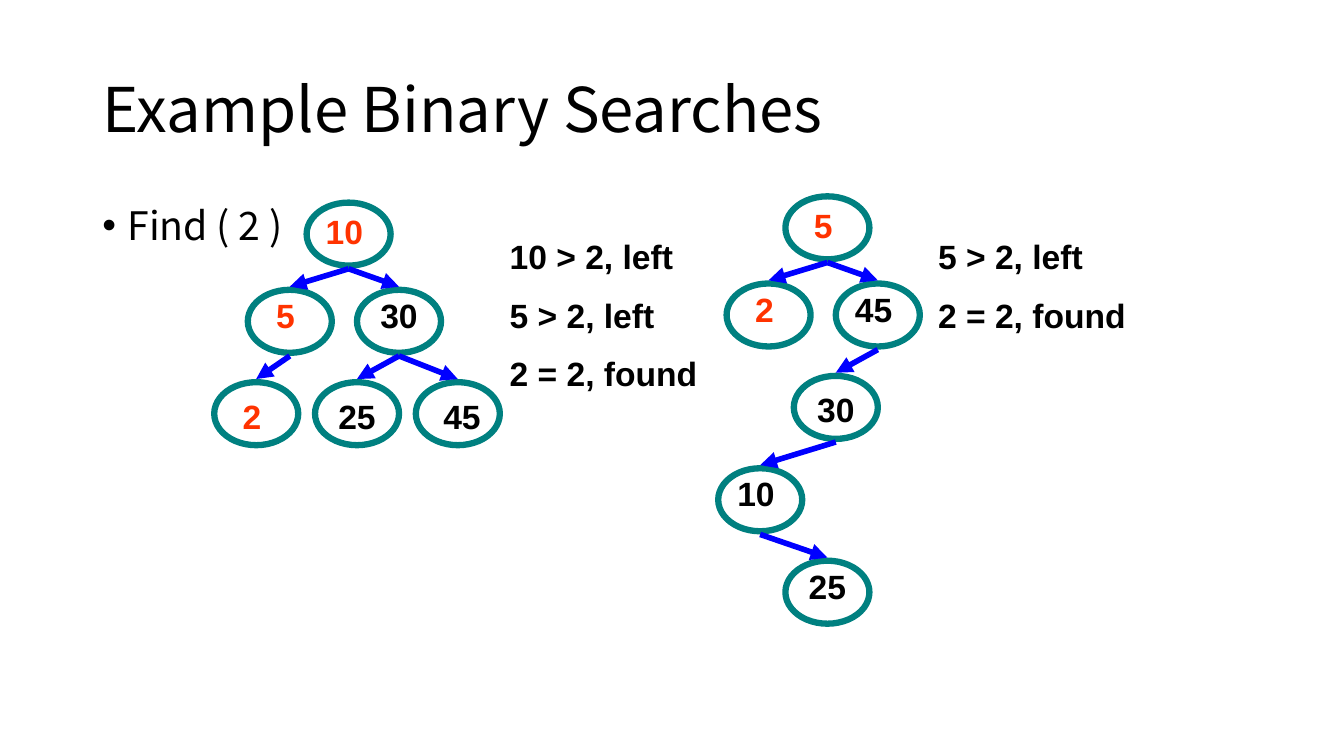
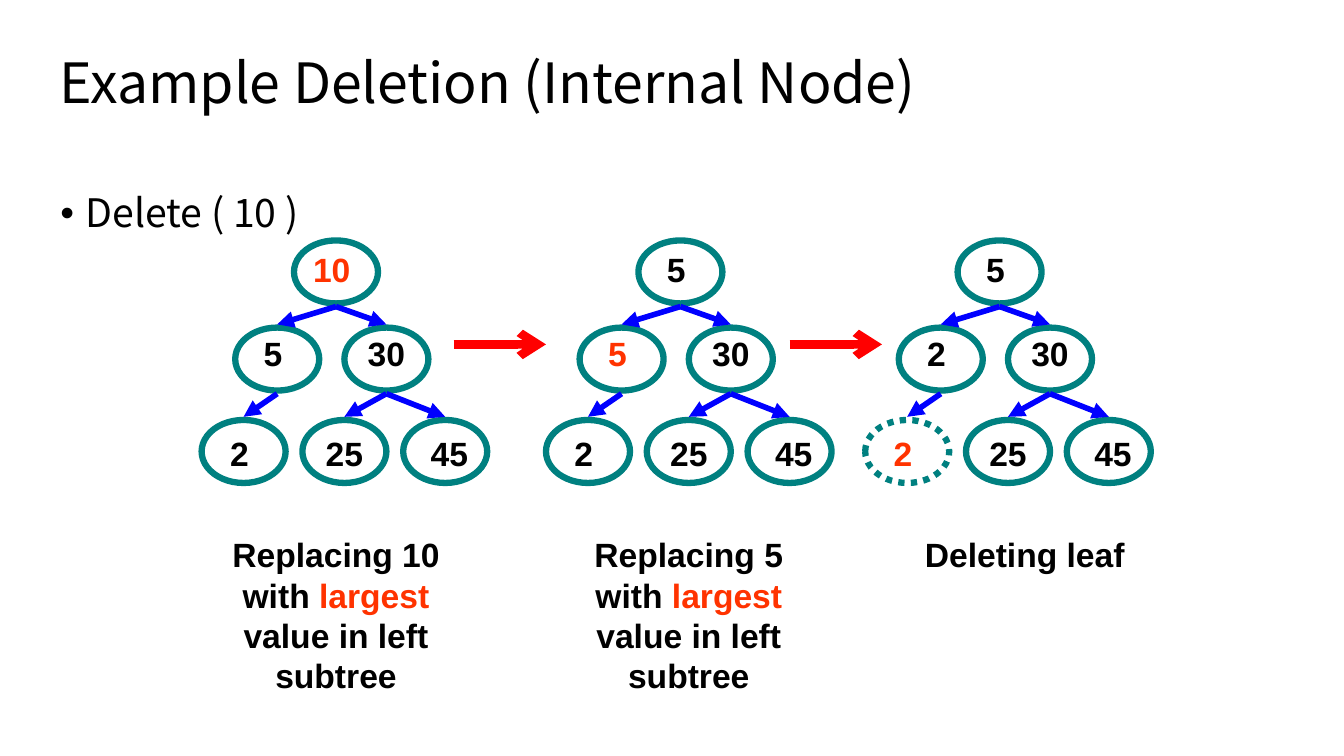
from typing import NamedTuple, Optional

from lxml.etree import SubElement
from pptx import Presentation
from pptx.dml.color import RGBColor
from pptx.enum.dml import MSO_LINE
from pptx.enum.shapes import MSO_CONNECTOR, MSO_SHAPE
from pptx.enum.text import MSO_ANCHOR, MSO_AUTO_SIZE, PP_ALIGN
from pptx.oxml.ns import qn
from pptx.util import Emu, Pt

PX = 9525
BLACK = RGBColor(0x00, 0x00, 0x00)
ORANGE = RGBColor(0xFF, 0x33, 0x00)
TEAL = RGBColor(0x00, 0x80, 0x80)
BLUE = RGBColor(0x00, 0x00, 0xFF)
RED = RGBColor(0xFF, 0x00, 0x00)

HEADING_FONT = "Noto Sans CJK KR"
LABEL_FONT = "Arial"
NODE_W, NODE_H = 80, 60
EDGE_GAP = 3
LABEL_H = 48


class Slot(NamedTuple):
    """Place of a node in a tree, its parent's index and its label's offset."""
    x: int
    y: int
    parent: Optional[int]
    label_x: int
    label_y: int
    label_w: int


BALANCED = [
    Slot(88, 0, None, 8, 3, 56),
    Slot(32, 83, 0, 16, 0, 40),
    Slot(136, 83, 0, 8, 0, 64),
    Slot(0, 171, 1, 16, 8, 40),
    Slot(96, 171, 2, 8, 8, 64),
    Slot(192, 171, 2, 16, 8, 56),
]
DEGENERATE = [
    Slot(88, 0, None, 16, 3, 40),
    Slot(32, 83, 0, 16, 0, 40),
    Slot(136, 83, 0, 8, 0, 56),
    Slot(96, 171, 2, 8, 8, 64),
    Slot(24, 259, 3, 8, 0, 56),
    Slot(88, 347, 4, 8, 0, 64),
]


def px(*lengths):
    return [Emu(length * PX) for length in lengths]


def format_run(run, font_name, size, color, bold=False):
    run.font.name = font_name
    run.font.size = Pt(size)
    run.font.bold = bold
    run.font.color.rgb = color


class Deck:
    def __init__(self):
        self.presentation = Presentation()
        self.presentation.slide_width, self.presentation.slide_height = px(1280, 720)
        self.slide = None

    def add_slide(self, title, x, y, w, h, size):
        layout = self.presentation.slide_layouts[5]
        self.slide = self.presentation.slides.add_slide(layout)
        heading = self.slide.shapes.title
        heading.left, heading.top, heading.width, heading.height = px(x, y, w, h)
        frame = heading.text_frame
        frame.text = title
        frame.word_wrap = True
        frame.auto_size = MSO_AUTO_SIZE.NONE
        frame.vertical_anchor = MSO_ANCHOR.MIDDLE
        paragraph = frame.paragraphs[0]
        paragraph.alignment = PP_ALIGN.LEFT
        paragraph.line_spacing = 0.9
        format_run(paragraph.runs[0], HEADING_FONT, size, BLACK)

    def bullet(self, text, x, y):
        frame = self.slide.shapes.add_textbox(*px(x, y, 1104, 457)).text_frame
        frame.word_wrap = True
        frame.text = text
        paragraph = frame.paragraphs[0]
        properties = paragraph._p.get_or_add_pPr()
        properties.set("marL", str(24 * PX))
        properties.set("indent", str(-24 * PX))
        SubElement(properties, qn("a:buFont"), typeface="Arial")
        SubElement(properties, qn("a:buChar"), char="•")
        paragraph.line_spacing = 0.9
        format_run(paragraph.runs[0], HEADING_FONT, 28, BLACK)

    def text(self, lines, x, y, w, h, color=BLACK, align=PP_ALIGN.CENTER, highlight=None):
        """Bold lines of text; the highlighted word is orange."""
        frame = self.slide.shapes.add_textbox(*px(x, y, w, h)).text_frame
        frame.word_wrap = True
        frame.auto_size = MSO_AUTO_SIZE.SHAPE_TO_FIT_TEXT
        for index, line in enumerate(lines):
            paragraph = frame.add_paragraph() if index else frame.paragraphs[0]
            paragraph.alignment = align
            if index:
                paragraph.space_before = Pt(13)
            for part in line.partition(highlight) if highlight else [line]:
                run = paragraph.add_run()
                run.text = part
                run_color = ORANGE if part == highlight else color
                format_run(run, LABEL_FONT, 24, run_color, bold=True)

    def arrow(self, x1, y1, x2, y2, color=BLUE, width=4, head="triangle"):
        connector = self.slide.shapes.add_connector(
            MSO_CONNECTOR.STRAIGHT, *px(x1, y1, x2, y2))
        connector.line.color.rgb = color
        connector.line.width = Pt(width)
        SubElement(connector.line._get_or_add_ln(), qn("a:tailEnd"), type=head)
        SubElement(connector._element.spPr, qn("a:effectLst"))

    def node(self, x, y, dotted):
        ellipse = self.slide.shapes.add_shape(MSO_SHAPE.OVAL, *px(x, y, NODE_W, NODE_H))
        ellipse.shadow.inherit = False
        ellipse.fill.background()
        ellipse.line.color.rgb = TEAL
        ellipse.line.width = Pt(4.5)
        if dotted:
            ellipse.line.dash_style = MSO_LINE.ROUND_DOT

    def tree(self, slots, values, left, top, marked=(), dotted=()):
        """Tree with one value per slot; marked and dotted hold slot indexes."""
        for index, (slot, value) in enumerate(zip(slots, values)):
            x, y = left + slot.x, top + slot.y
            self.node(x, y, index in dotted)
            if slot.parent is not None:
                parent = slots[slot.parent]
                self.arrow(left + parent.x + NODE_W // 2,
                           top + parent.y + NODE_H + EDGE_GAP,
                           x + NODE_W // 2, y - EDGE_GAP)
            self.text([str(value)], x + slot.label_x, y + slot.label_y,
                      slot.label_w, LABEL_H, ORANGE if index in marked else BLACK)


def search_slide(deck):
    deck.add_slide("Example Binary Searches", 88, 38, 1104, 139, 44)
    deck.bullet("Find ( 2 )", 88, 192)
    deck.tree(BALANCED, [10, 5, 30, 2, 25, 45], 204, 193, marked=(0, 1, 3))
    deck.tree(DEGENERATE, [5, 2, 45, 30, 10, 25], 660, 187, marked=(0, 1))
    deck.text(["10 > 2, left", "5 > 2, left", "2 = 2, found"],
              476, 220, 240, 165, align=PP_ALIGN.LEFT)
    deck.text(["5 > 2, left", "2 = 2, found"],
              884, 220, 203, 107, align=PP_ALIGN.LEFT)


def deletion_slide(deck):
    deck.add_slide("Example Deletion (Internal Node)", 47, 48, 1224, 67, 39.6)
    deck.bullet("Delete ( 10 )", 48, 180)
    steps = [
        (192, [10, 5], (0,), ()),
        (520, [5, 5], (1,), ()),
        (824, [5, 2], (3,), (3,)),
    ]
    for left, top_values, marked, dotted in steps:
        deck.tree(BALANCED, top_values + [30, 2, 25, 45], left, 229, marked, dotted)
    for start in (432, 752):
        deck.arrow(start, 328, start + 88, 328, RED, 6, "arrow")
    for left, value in ((200, 10), (536, 5)):
        deck.text([f"Replacing {value} with largest value in left subtree"],
                  left, 504, 240, 165, highlight="largest")
    deck.text(["Deleting leaf"], 856, 504, 240, LABEL_H)


def main():
    deck = Deck()
    search_slide(deck)
    deletion_slide(deck)
    deck.presentation.save("out.pptx")


if __name__ == "__main__":
    main()
